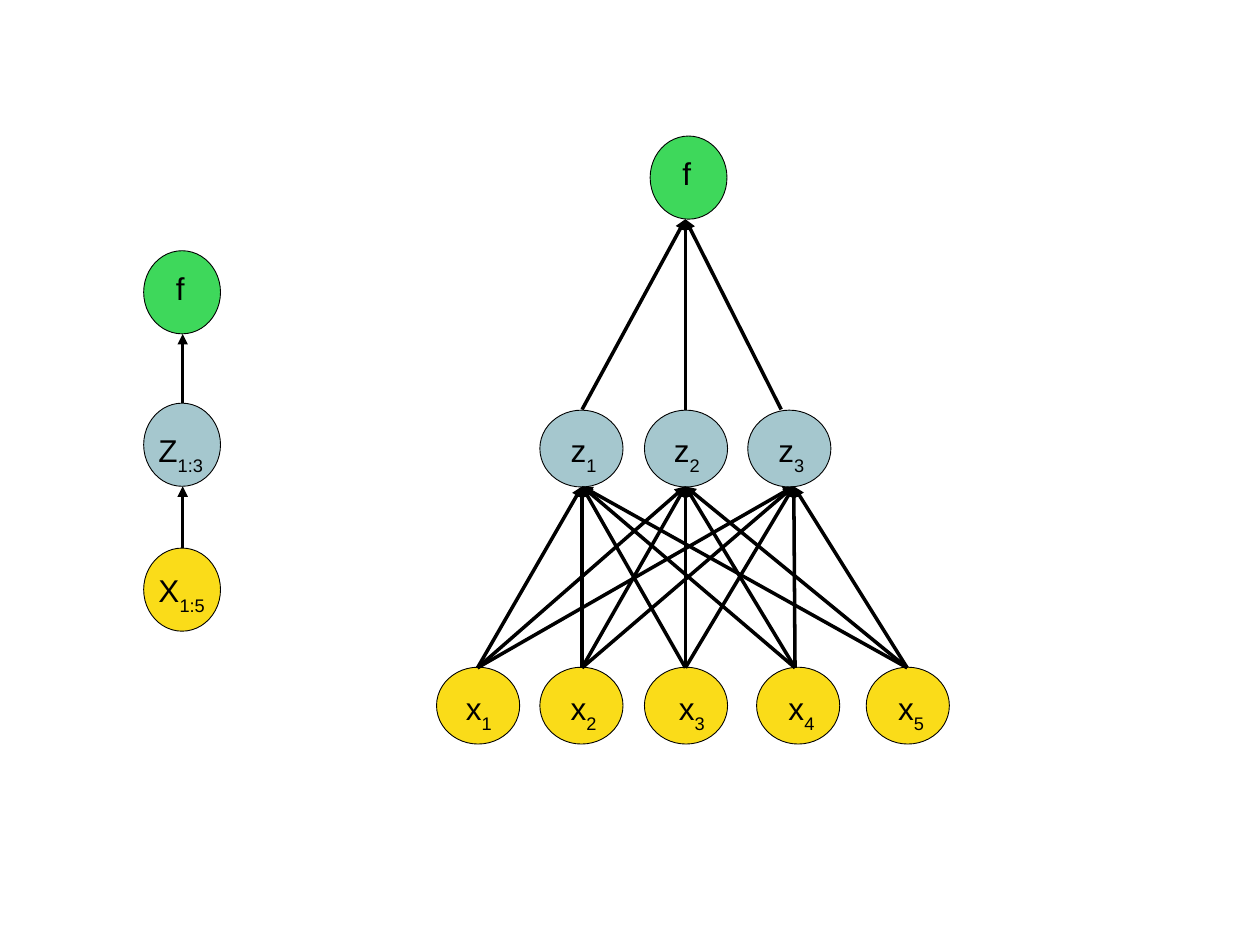
from itertools import product

from lxml import etree
from pptx import Presentation, util as u
from pptx.dml.color import RGBColor
from pptx.enum import shapes, text
from pptx.oxml.ns import qn

COLORS = {"input": "FADC19", "hidden": "A5C7CE", "output": "3ED85B", "ink": "000000"}
NODE_WIDTH, NODE_HEIGHT = 0.61, 0.66
INPUT_TOP, HIDDEN_TOP = 5.27, 3.23
INPUTS = [(3.49, 3.6), (4.31, 4.43), (5.14, 5.29), (6.03, 6.16), (6.9, 7.03)]
HIDDEN = [(4.31, 4.43), (5.14, 5.25), (5.96, 6.08)]
INPUT_STARTS = [3.79, 4.62, 5.44, 6.31, 7.2]
HIDDEN_ENDS = [4.62, 5.44, 6.3]
HIDDEN_STARTS = [4.62, 5.44, 6.2]
OUTPUT_END = 5.44


def color(name):
    return RGBColor.from_string(COLORS[name])


def write(para, content, size=18, font="Arial", ink="ink", subscript=False):
    span = para.add_run()
    span.text = content
    span.font.size = u.Pt(size)
    span.font.name = font
    span.font.color.rgb = color(ink)
    if subscript:
        span.font._element.set("baseline", "-33000")


def add_node(page, left, top, kind, rotation=0, content=None):
    node = page.shapes.add_shape(
        shapes.MSO_SHAPE.OVAL, u.Inches(left), u.Inches(top),
        u.Inches(NODE_WIDTH), u.Inches(NODE_HEIGHT))
    node.rotation = rotation
    node.shadow.inherit = False
    node.fill.solid()
    node.fill.fore_color.rgb = color(kind)
    node.line.color.rgb = color("ink")
    node.line.width = u.Pt(0.5)
    if content:
        node.text_frame.vertical_anchor = text.MSO_ANCHOR.TOP
        para = node.text_frame.paragraphs[0]
        para.alignment = text.PP_ALIGN.LEFT
        write(para, content)


def add_label(page, left, top, letter, index):
    box = page.shapes.add_textbox(
        u.Inches(left), u.Inches(top), u.Inches(0.9), u.Inches(0.44))
    box.text_frame.word_wrap = True
    box.text_frame.auto_size = text.MSO_AUTO_SIZE.SHAPE_TO_FIT_TEXT
    para = box.text_frame.paragraphs[0]
    write(para, letter)
    write(para, index, subscript=True)


def add_arrow(page, start, end, width=2):
    arrow = page.shapes.add_connector(
        shapes.MSO_CONNECTOR.STRAIGHT, *(u.Inches(value) for value in start + end))
    arrow.line.color.rgb = color("ink")
    arrow.line.width = u.Pt(width)
    etree.SubElement(arrow.line._get_or_add_ln(), qn("a:tailEnd"), type="triangle")
    etree.SubElement(arrow._element.spPr, qn("a:effectLst"))


def add_compact_network(page):
    add_node(page, 1.14, 4.35, "input")
    add_node(page, 1.14, 3.2, "hidden")
    add_node(page, 1.14, 1.99, "output", content=" f")
    add_arrow(page, (1.45, 4.35), (1.45, 3.86), width=1.5)
    add_arrow(page, (1.45, 3.2), (1.45, 2.65), width=1.5)
    add_label(page, 1.16, 4.48, "X", "1:5")
    add_label(page, 1.16, 3.37, "Z", "1:3")


def add_full_network(page):
    layers = [(INPUTS, INPUT_TOP, "input"), (HIDDEN, HIDDEN_TOP, "hidden")]
    for columns, top, kind in layers:
        for left, _ in columns:
            add_node(page, left, top, kind, rotation=270)
    for start, end in product(INPUT_STARTS, HIDDEN_ENDS):
        add_arrow(page, (start, 5.3), (end, 3.86))
    for start in HIDDEN_STARTS:
        add_arrow(page, (start, 3.25), (OUTPUT_END, 1.74))
    for columns, top, letter in [(INPUTS, 5.42, "x"), (HIDDEN, 3.37, "z")]:
        for number, (_, left) in enumerate(columns, 1):
            add_label(page, left, top, letter, str(number))
    add_node(page, 5.16, 1.08, "output", content=" f")


def main():
    deck = Presentation()
    deck.slide_width = u.Inches(10)
    deck.slide_height = u.Inches(7.5)
    page = deck.slides.add_slide(deck.slide_layouts[6])
    add_compact_network(page)
    add_full_network(page)
    deck.save("out.pptx")


if __name__ == "__main__":
    main()
